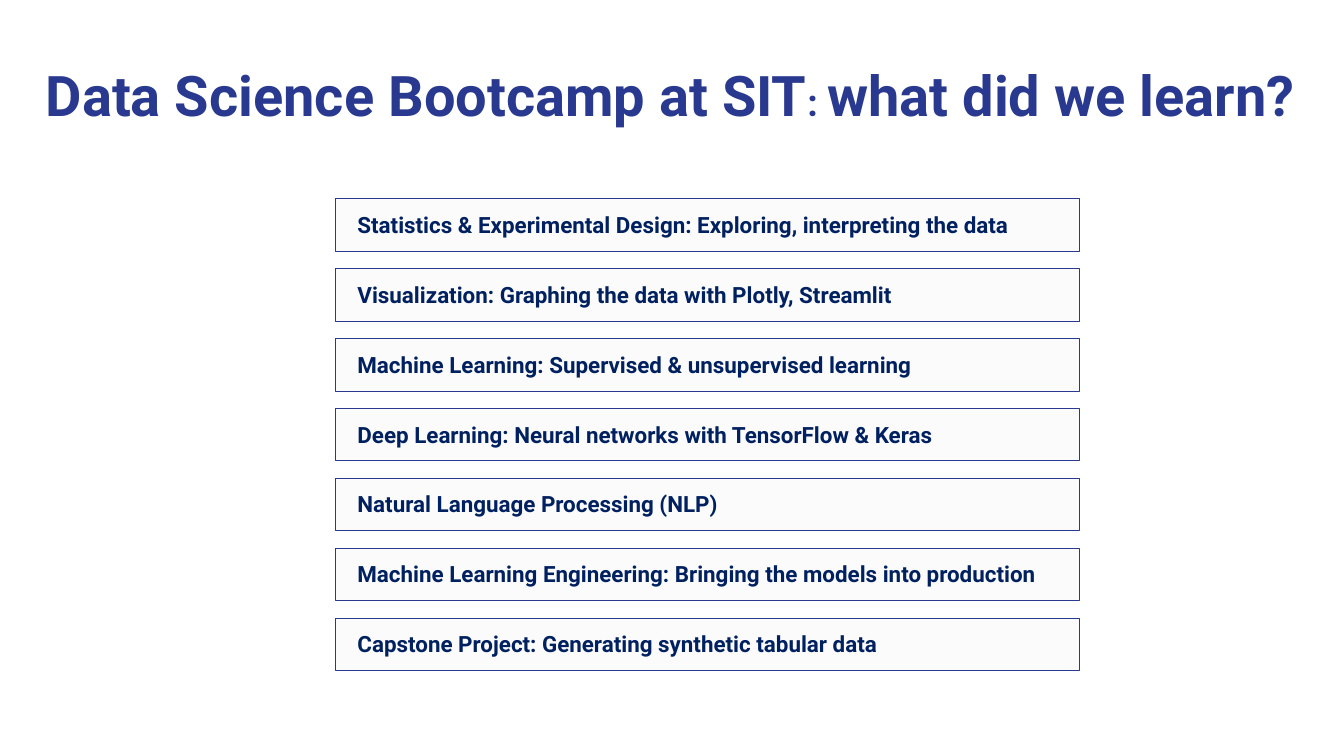
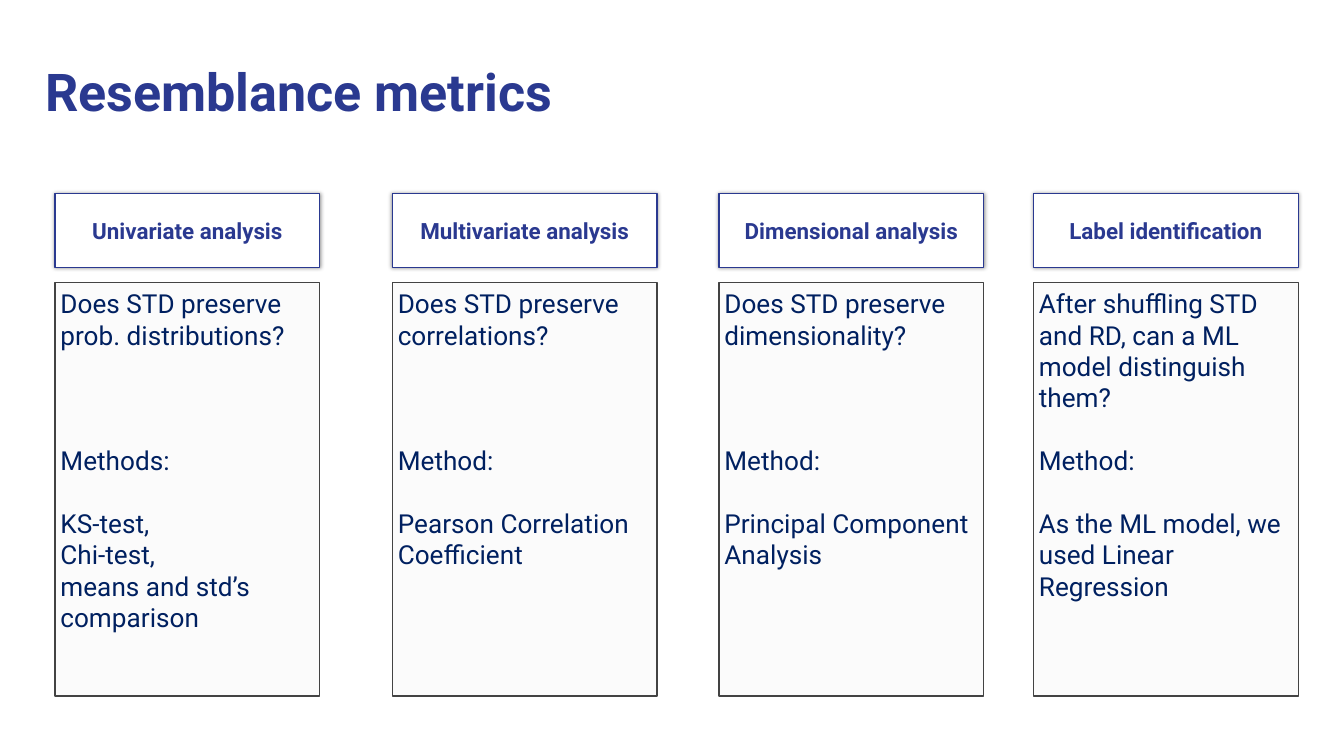
from dataclasses import dataclass

from lxml.etree import SubElement
from pptx import Presentation
from pptx.dml.color import RGBColor
from pptx.enum.shapes import MSO_SHAPE
from pptx.enum.text import MSO_ANCHOR, PP_ALIGN
from pptx.oxml.ns import qn
from pptx.util import Inches, Pt


@dataclass(frozen=True)
class Theme:
    font: str = "Roboto"
    blue: str = "2A3990"
    navy: str = "002060"
    grey: str = "434343"
    panel: str = "FBFBFB"
    white: str = "FFFFFF"
    shadow: str = "000000"
    title: float = 30
    title_small: float = 27.9
    colon: float = 20
    label: float = 12
    body: float = 14
    body_line: float = 16.8  # height of one body line, in points


THEME = Theme()


def write(tf, paragraphs, *, size, color, bold=False, align=PP_ALIGN.LEFT,
          anchor=MSO_ANCHOR.TOP, insets=(0, 0, 0, 0)):
    """Fill a frame with (runs, space before) pairs; a run is (text, size or None)."""
    tf.word_wrap = True
    tf.vertical_anchor = anchor
    tf.margin_left, tf.margin_top, tf.margin_right, tf.margin_bottom = map(Inches, insets)
    for i, (runs, before) in enumerate(paragraphs):
        p = tf.add_paragraph() if i else tf.paragraphs[0]
        p.alignment = align
        p.space_before = Pt(before)
        for text, run_size in runs:
            r = p.add_run()
            r.text = text
            r.font.name = THEME.font
            r.font.size = Pt(run_size or size)
            r.font.bold = bold
            r.font.color.rgb = RGBColor.from_string(color)


def line(text, before=0):
    return [(text, None)], before


class Deck:
    def __init__(self, theme):
        self.theme = theme
        self.prs = Presentation()
        # Widescreen, 16:9
        self.prs.slide_width, self.prs.slide_height = Inches(10), Inches(10 * 9 / 16)
        self.s = None

    def new_slide(self):
        self.s = self.prs.slides.add_slide(self.prs.slide_layouts[6])

    def title(self, runs, top, size):
        sp = self.s.shapes.add_textbox(Inches(0.34), Inches(top), Inches(9.32), Inches(0.66))
        write(sp.text_frame, [(runs, 0)], size=size, color=self.theme.blue, bold=True)

    def box(self, x, y, w, h, fill, border, weight):
        sp = self.s.shapes.add_shape(MSO_SHAPE.RECTANGLE, *map(Inches, (x, y, w, h)))
        sp.shadow.inherit = False
        sp.fill.solid()
        sp.fill.fore_color.rgb = RGBColor.from_string(fill)
        sp.line.color.rgb = RGBColor.from_string(border)
        sp.line.width = Pt(weight)
        return sp

    def topic(self, text, y):
        t = self.theme
        sp = self.box(2.5, y, 5.53, 0.39, t.panel, t.blue, 0.5)
        write(sp.text_frame, [line(text)], size=t.label, color=t.navy, bold=True,
              anchor=MSO_ANCHOR.MIDDLE, insets=(0.16, 0.04, 0.04, 0.05))

    def header(self, text, x):
        t = self.theme
        sp = self.box(x, 1.44, 1.97, 0.55, t.white, t.blue, 0.75)
        self.glow(sp)
        write(sp.text_frame, [line(text)], size=t.label, color=t.blue, bold=True,
              align=PP_ALIGN.CENTER, anchor=MSO_ANCHOR.MIDDLE)

    def glow(self, sp):
        """Soft shadow on all sides of a shape."""
        effects = sp.element.spPr.find(qn("a:effectLst"))
        shadow = SubElement(effects, qn("a:outerShdw"), blurRad=str(Pt(2)), dist="0",
                            dir="0", algn="ctr", rotWithShape="0")
        color = SubElement(shadow, qn("a:srgbClr"), val=self.theme.shadow)
        SubElement(color, qn("a:alpha"), val="40000")

    def panel(self, paragraphs, x):
        t = self.theme
        sp = self.box(x, 2.1, 1.97, 3.08, t.panel, t.grey, 0.75)
        write(sp.text_frame, paragraphs, size=t.body, color=t.navy,
              insets=(0.04, 0.04, 0.04, 0.05))


TOPICS = [
    "Statistics & Experimental Design: Exploring, interpreting the data",
    "Visualization: Graphing the data with Plotly, Streamlit",
    "Machine Learning: Supervised & unsupervised learning",
    "Deep Learning: Neural networks with TensorFlow & Keras",
    "Natural Language Processing (NLP)",
    "Machine Learning Engineering: Bringing the models into production",
    "Capstone Project: Generating synthetic tabular data",
]

# Left edge, heading, question, lines the question takes, method label, methods
METRICS = [
    (0.41, "Univariate analysis", "Does STD preserve prob. distributions?", 2,
     "Methods:", ["KS-test,", "Chi-test,", "means and std’s comparison"]),
    (2.92, "Multivariate analysis", "Does STD preserve correlations?", 2,
     "Method:", ["Pearson Correlation", "Coefficient"]),
    (5.35, "Dimensional analysis", "Does STD preserve dimensionality?", 2,
     "Method:", ["Principal Component", "Analysis"]),
    (7.69, "Label identification",
     "After shuffling STD and RD, can a ML model distinguish them?", 4,
     "Method:", ["As the ML model, we used Linear Regression"]),
]
METHOD_LINE = 5  # body lines above the method label


def bootcamp_slide(deck):
    deck.new_slide()
    deck.title([("Data Science Bootcamp at SIT", None), (": ", THEME.colon),
                ("what did we learn?", None)], 0.45, THEME.title)
    for i, topic in enumerate(TOPICS):
        deck.topic(topic, 1.48 + 0.52 * i)


def metrics_slide(deck):
    deck.new_slide()
    for x, heading, question, lines, label, methods in METRICS:
        deck.header(heading, x)
        gap = (METHOD_LINE - lines) * THEME.body_line
        first, *rest = methods
        deck.panel([line(question), line(label, gap), line(first, THEME.body_line),
                    *map(line, rest)], x)
    deck.title([("Resemblance metrics", None)], 0.44, THEME.title_small)


def main():
    deck = Deck(THEME)
    bootcamp_slide(deck)
    metrics_slide(deck)
    deck.prs.save("out.pptx")


if __name__ == "__main__":
    main()
